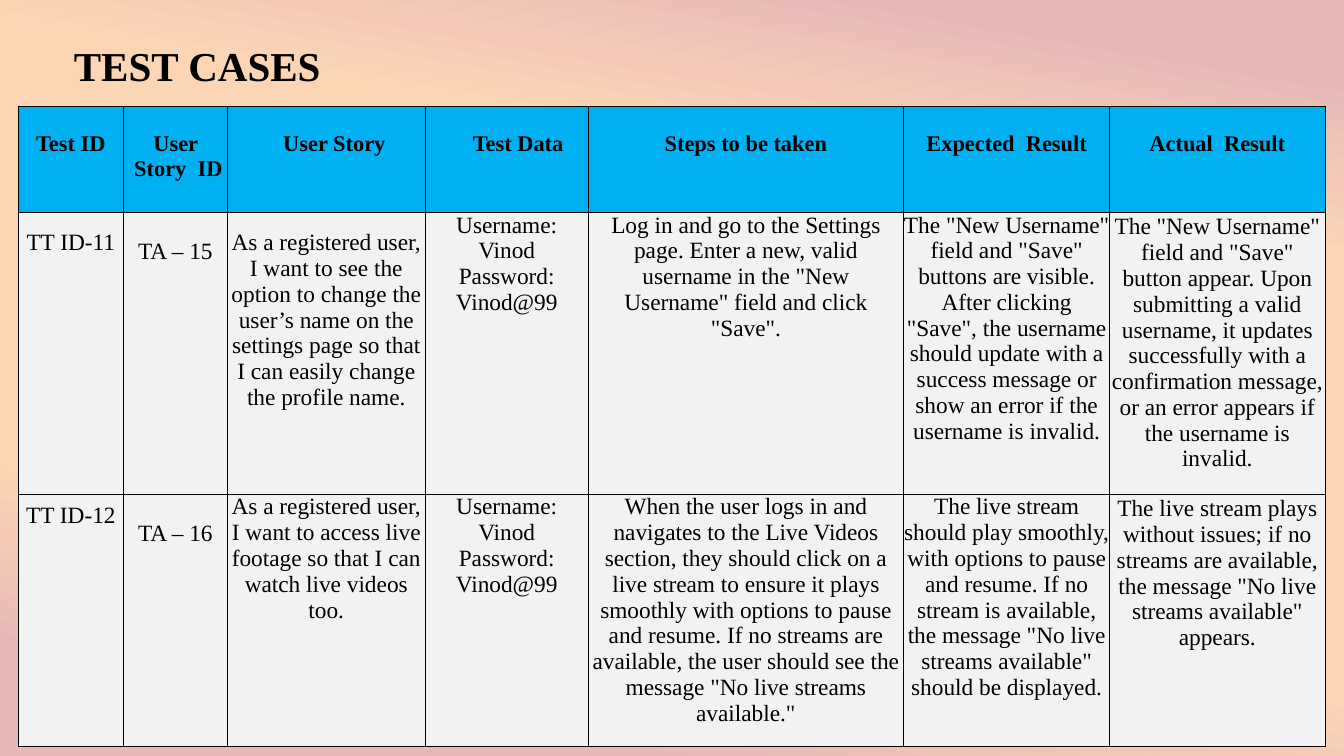
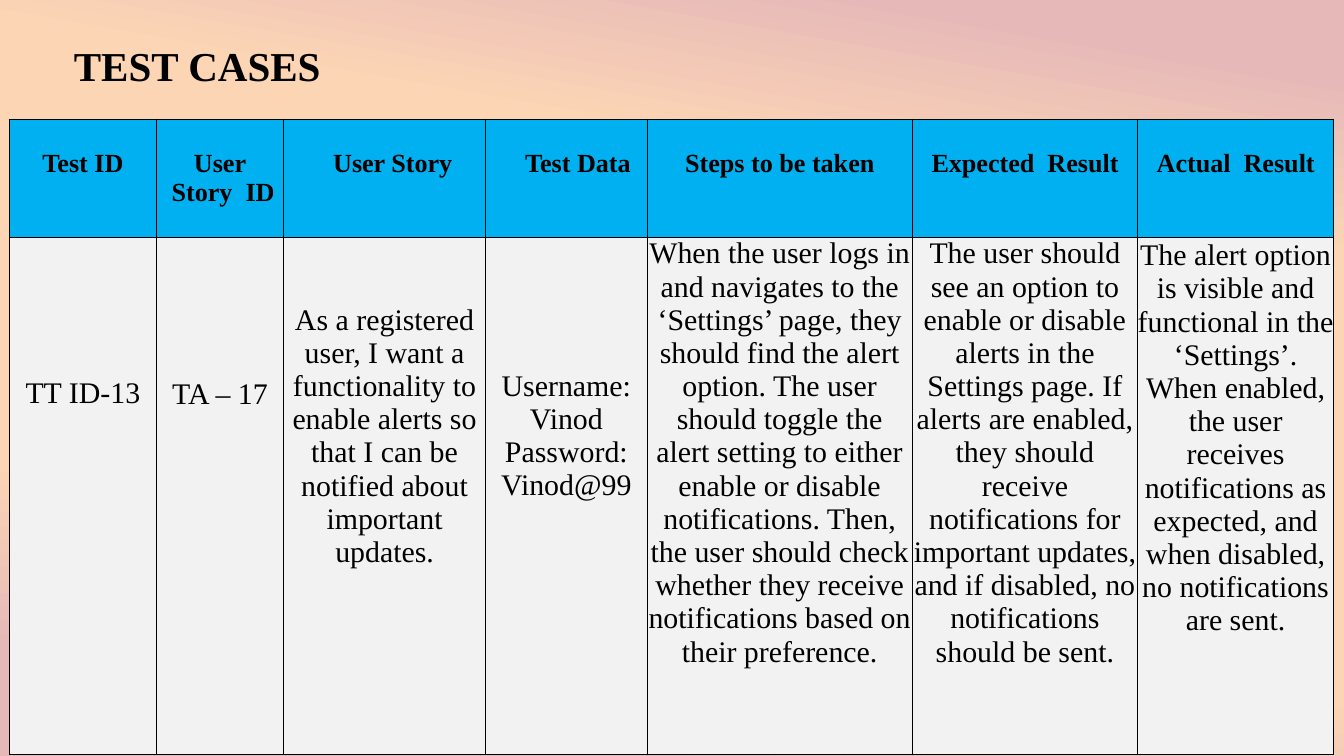
from copy import deepcopy

from lxml import etree
from pptx import Presentation
from pptx.dml.color import RGBColor
from pptx.enum import text as t
from pptx.oxml.ns import qn
from pptx.util import Pt

BLACK = RGBColor(0x00, 0x00, 0x00)
BLUE = RGBColor(0x00, 0xB0, 0xF0)
GRAY = RGBColor(0xF2, 0xF2, 0xF2)
ROSE = RGBColor(0xE6, 0xB9, 0xB8)
PEACH = RGBColor(0xFC, 0xD5, 0xB5)
FONT = "Times New Roman"
STOPS = [(0.11, ROSE), (0.30, PEACH), (0.55, PEACH), (0.74, PEACH), (0.92, ROSE)]
TITLE = "TEST CASES"

# Column heading and its left margin
HEADS = [
    ("Test ID", 0),
    ("User  Story  ID", 6.5),
    ("User Story", 17.3),
    ("Test Data", 24.5),
    ("Steps to be taken", 0),
    ("Expected  Result", 0),
    ("Actual  Result", 0),
]

# Each case is a row of (top margin, text)
PAGES = [
    {
        "left": 19.4, "top": 113.8, "head": 24, "body": 25,
        "cols": [113, 111, 212.4, 174.2, 338.4, 220.4, 231],
        "rows": [113.8, 301, 270],
        "cases": [
            [
                (18.5, "TT ID-11"),
                (28, "TA – 15"),
                (19, "As a registered user, I want to see the option to change the "
                     "user’s name on the settings page so that I can easily change "
                     "the profile name."),
                (0, "Username: Vinod\nPassword: Vinod@99"),
                (0, "Log in and go to the Settings page. Enter a new, valid username "
                    "in the \"New Username\" field and click \"Save\"."),
                (0, "The \"New Username\" field and \"Save\" buttons are visible. "
                    "After clicking \"Save\", the username should update with a "
                    "success message or show an error if the username is invalid."),
                (2, "The \"New Username\" field and \"Save\" button appear. Upon "
                    "submitting a valid username, it updates successfully with a "
                    "confirmation message, or an error appears if the username is "
                    "invalid."),
            ],
            [
                (9.3, "TT ID-12"),
                (28, "TA – 16"),
                (0, "As a registered user, I want to access live footage so that I "
                    "can watch live videos too."),
                (0, "Username: Vinod\nPassword: Vinod@99"),
                (0, "When the user logs in and navigates to the Live Videos section, "
                    "they should click on a live stream to ensure it plays smoothly "
                    "with options to pause and resume. If no streams are available, "
                    "the user should see the message \"No live streams available.\""),
                (0, "The live stream should play smoothly, with options to pause and "
                    "resume. If no stream is available, the message \"No live streams "
                    "available\" should be displayed."),
                (2, "The live stream plays without issues; if no streams are "
                    "available, the message \"No live streams available\" appears."),
            ],
        ],
    },
    {
        "left": 10, "top": 128.2, "head": 28, "body": 32,
        "cols": [157.7, 136.1, 216.7, 172.8, 284.4, 241.2, 210.2],
        "rows": [126, 553.7],
        "cases": [
            [
                (149.5, "TT ID-13"),
                (150.5, "TA – 17"),
                (71, "As a registered user, I want a functionality to enable alerts "
                     "so that I can be notified about important updates."),
                (141.7, "Username: Vinod Password: Vinod@99"),
                (0, "When the user logs in and navigates to the ‘Settings’ page, they "
                    "should find the alert option. The user should toggle the alert "
                    "setting to either enable or disable notifications. Then, the "
                    "user should check whether they receive notifications based on "
                    "their preference."),
                (0, "The user should see an option to enable or disable alerts in the "
                    "Settings page. If alerts are enabled, they should receive "
                    "notifications for important updates, and if disabled, no "
                    "notifications should be sent."),
                (2, "The alert option is visible and functional in the ‘Settings’. "
                    "When enabled, the user receives notifications as expected, and "
                    "when disabled, no notifications are sent."),
            ],
        ],
    },
]


def write(frame, words, size, bold=False, align=t.PP_ALIGN.LEFT):
    frame.word_wrap = True
    for i, line in enumerate(words.split("\n")):
        para = frame.add_paragraph() if i else frame.paragraphs[0]
        para.alignment = align
        run = para.add_run()
        run.text = line
        font = run.font
        font.name, font.size, font.bold = FONT, Pt(size), bold
        font.color.rgb = BLACK


def shade(slide):
    """Give the slide its five-stop gradient background."""
    fill = slide.background.fill
    fill.gradient()
    fill.gradient_angle = 80
    stops = slide.background.fill.gradient_stops
    group = next(slide.element.iter(qn("a:gsLst")))
    for _ in range(len(STOPS) - len(stops)):
        group.append(deepcopy(group[0]))
    for stop, (place, color) in zip(fill.gradient_stops, STOPS):
        stop.position = place
        stop.color.rgb = color


def edge(cell):
    """Draw a thin black line on all four sides."""
    props = cell._tc.get_or_add_tcPr()
    for side in "LRTB":
        line = etree.SubElement(props, qn("a:ln" + side), w=str(Pt(1)))
        solid = etree.SubElement(line, qn("a:solidFill"))
        etree.SubElement(solid, qn("a:srgbClr"), val=str(BLACK))


def fill_cell(cell, words, size, color, top=0, left=0, bold=False):
    edge(cell)
    cell.fill.solid()
    cell.fill.fore_color.rgb = color
    cell.margin_left, cell.margin_top = Pt(left), Pt(top)
    cell.margin_right = cell.margin_bottom = 0
    write(cell.text_frame, words, size, bold, t.PP_ALIGN.CENTER)


def add_title(slide):
    box = slide.shapes.add_textbox(Pt(72), Pt(35.3), Pt(730), Pt(60.5))
    box.text_frame.margin_top = Pt(8.5)
    write(box.text_frame, TITLE, 44, bold=True)


def add_cases(slide, page):
    cols, rows = page["cols"], page["rows"]
    table = slide.shapes.add_table(
        len(rows), len(cols), Pt(page["left"]), Pt(page["top"]),
        Pt(sum(cols)), Pt(sum(rows))).table
    for col, wide in zip(table.columns, cols):
        col.width = Pt(wide)
    for row, high in zip(table.rows, rows):
        row.height = Pt(high)
    size = page["head"]
    for c, (words, left) in enumerate(HEADS):
        fill_cell(table.cell(0, c), words, size, BLUE,
                  top=size * 1.11 + 0.6, left=left, bold=True)
    for r, case in enumerate(page["cases"], 1):
        for c, (top, words) in enumerate(case):
            fill_cell(table.cell(r, c), words, page["body"], GRAY, top=top)


def main():
    deck = Presentation()
    deck.slide_width, deck.slide_height = Pt(1440), Pt(810)
    for page in PAGES:
        slide = deck.slides.add_slide(deck.slide_layouts[6])
        shade(slide)
        add_title(slide)
        add_cases(slide, page)
    deck.save("out.pptx")


if __name__ == "__main__":
    main()
